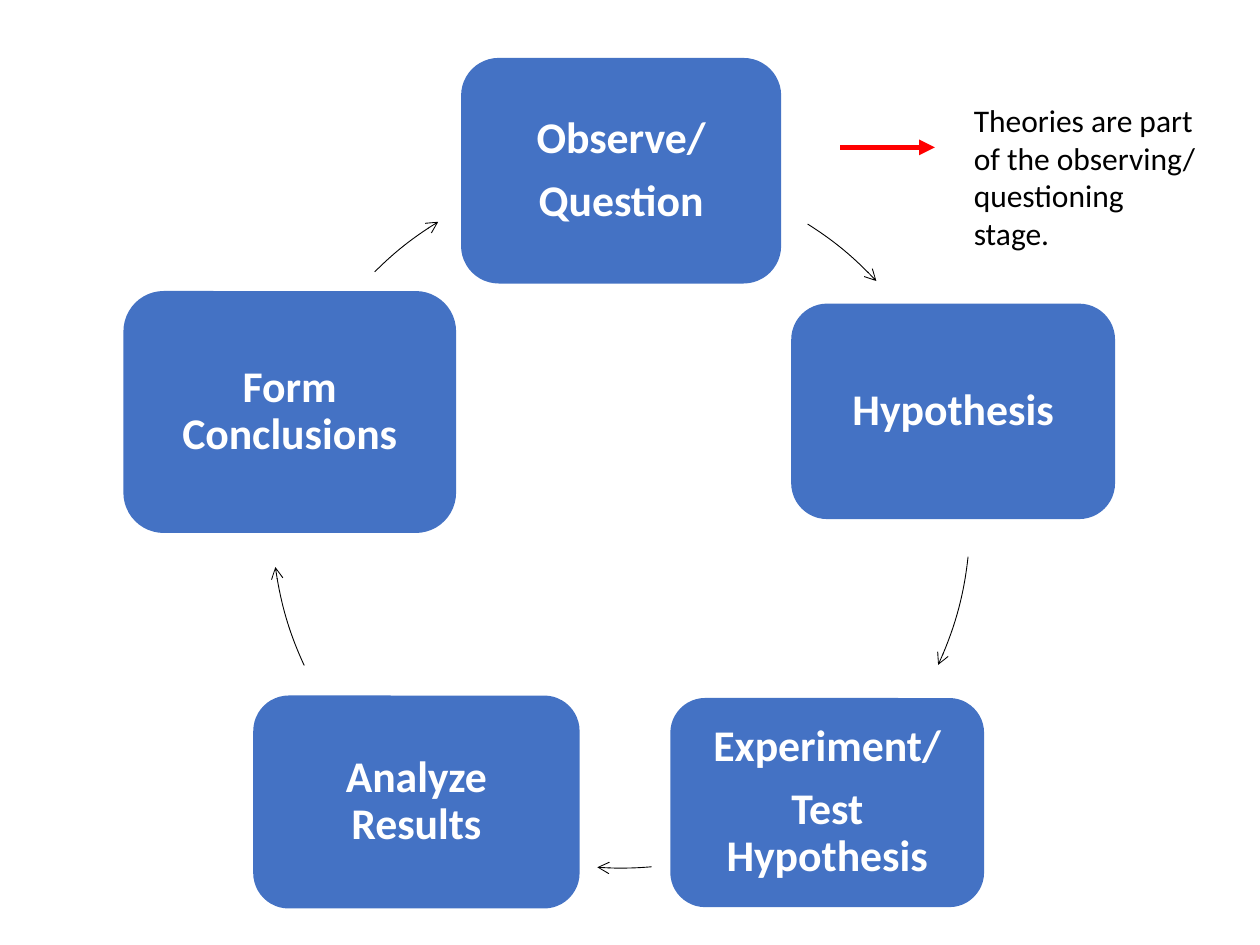
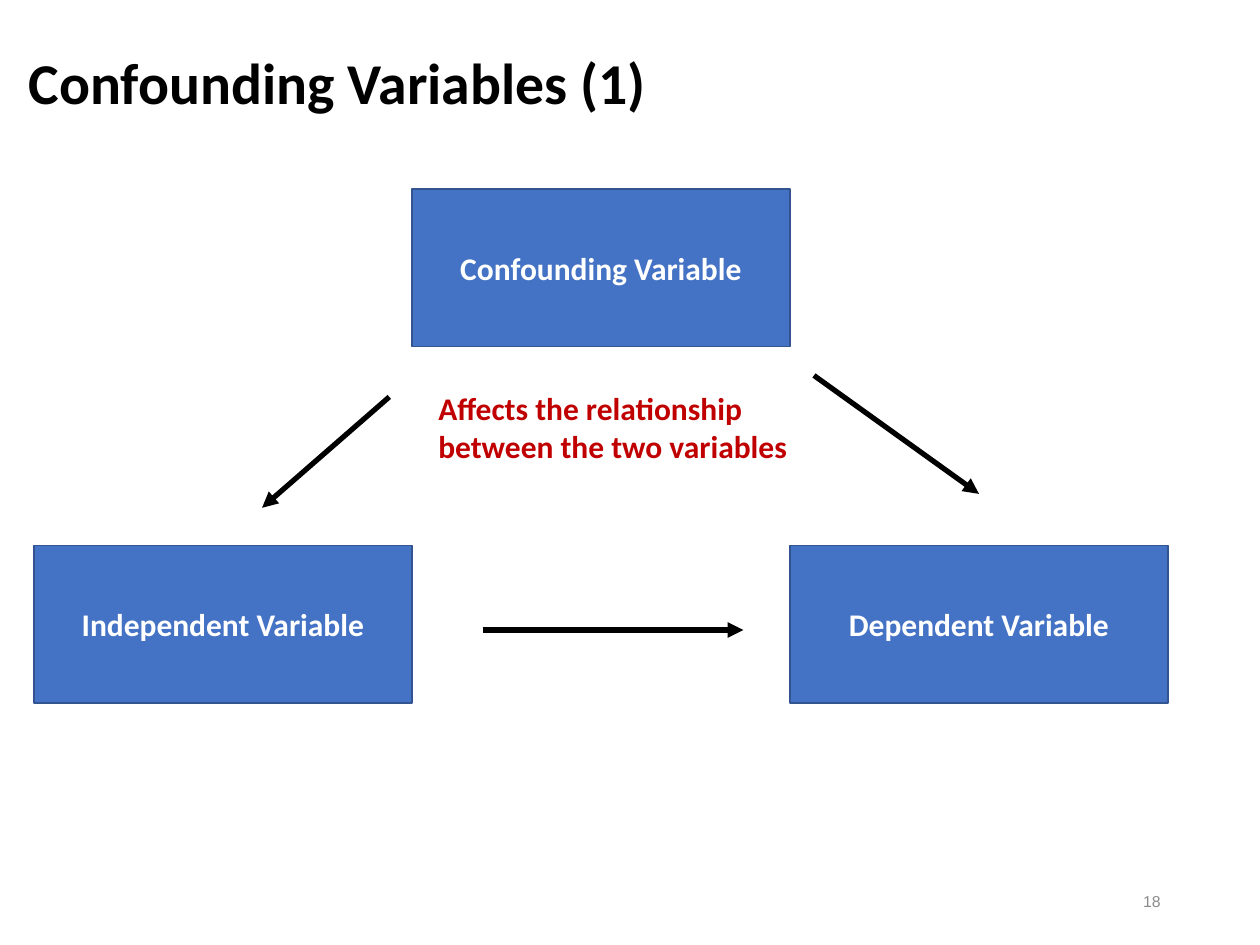
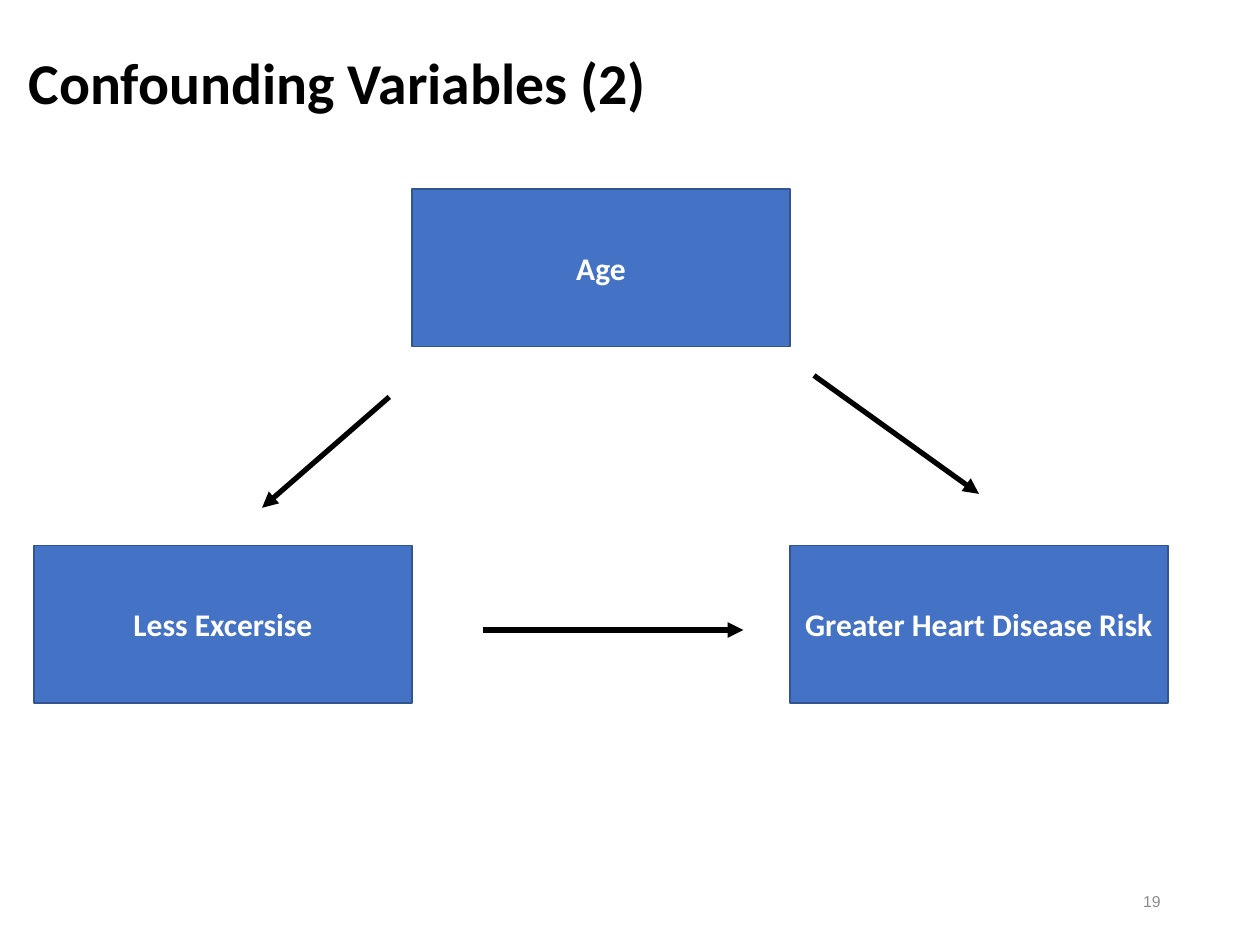
from dataclasses import dataclass

from lxml.etree import SubElement
from pptx import Presentation
from pptx.dml.color import RGBColor
from pptx.enum.shapes import MSO_CONNECTOR, MSO_SHAPE
from pptx.enum.text import MSO_ANCHOR, MSO_AUTO_SIZE, PP_ALIGN
from pptx.oxml.ns import qn
from pptx.util import Inches, Pt


@dataclass(frozen=True)
class Theme:
    blue: str = "4472C4"
    edge: str = "325491"
    black: str = "000000"
    white: str = "FFFFFF"
    gray: str = "8C8C8C"
    red: str = "FF0000"
    crimson: str = "C00000"
    font: str = "Calibri"
    number_font: str = "Arial"
    title_size: int = 33
    stage_size: int = 25
    body_size: int = 18
    number_size: int = 9
    tight: float = 0.9
    stage_gap: float = 8.75
    thick: float = 3
    thin: float = 0.5


class Slides:
    COLUMNS, ROWS = 100, 75

    def __init__(self, deck, theme):
        self.deck = deck
        self.theme = theme
        self.page = None

    def new_page(self):
        self.page = self.deck.slides.add_slide(self.deck.slide_layouts[6])

    def place(self, left, top, width, height):
        column = self.deck.slide_width / self.COLUMNS
        row = self.deck.slide_height / self.ROWS
        return [round(length) for length in (left * column, top * row, width * column, height * row)]

    def fill_text(self, shape, lines, size, color, bold=False, align=PP_ALIGN.LEFT,
                  anchor=MSO_ANCHOR.MIDDLE, font=None, spacing=None, after=None):
        frame = shape.text_frame
        frame.word_wrap = True
        frame.vertical_anchor = anchor
        frame.text = "\n".join(lines)
        for para in frame.paragraphs:
            para.alignment = align
            para.line_spacing = spacing
            if after:
                para.space_after = Pt(after)
            para.font.name = font or self.theme.font
            para.font.size = Pt(size)
            para.font.bold = bold
            para.font.color.rgb = RGBColor.from_string(color)

    def text(self, area, line, size, color, **style):
        box = self.page.shapes.add_textbox(*self.place(*area))
        self.fill_text(box, [line], size, color, **style)
        return box

    def title(self, line):
        self.text((1.3, 3.3, 86.2, 7), line, self.theme.title_size, self.theme.black,
                  bold=True, spacing=self.theme.tight)

    def number(self, value):
        self.text((70.6, 69.5, 22.5, 4), str(value), self.theme.number_size, self.theme.gray,
                  align=PP_ALIGN.RIGHT, font=self.theme.number_font)

    def note(self, area, line, color, bold=False):
        box = self.text(area, line, self.theme.body_size, color, bold=bold, anchor=MSO_ANCHOR.TOP)
        box.text_frame.auto_size = MSO_AUTO_SIZE.SHAPE_TO_FIT_TEXT

    def block(self, kind, area):
        shape = self.page.shapes.add_shape(kind, *self.place(*area))
        shape.shadow.inherit = False
        shape.fill.solid()
        shape.fill.fore_color.rgb = RGBColor.from_string(self.theme.blue)
        return shape

    def stage(self, area, lines):
        shape = self.block(MSO_SHAPE.ROUNDED_RECTANGLE, area)
        shape.line.fill.background()
        self.fill_text(shape, lines, self.theme.stage_size, self.theme.white, bold=True,
                       align=PP_ALIGN.CENTER, spacing=self.theme.tight, after=self.theme.stage_gap)

    def variable(self, area, line):
        shape = self.block(MSO_SHAPE.RECTANGLE, area)
        shape.line.color.rgb = RGBColor.from_string(self.theme.edge)
        shape.line.width = Pt(1)
        self.fill_text(shape, [line], self.theme.body_size, self.theme.white, bold=True,
                       align=PP_ALIGN.CENTER)

    def stroke(self, shape, color, width, head):
        shape.line.color.rgb = RGBColor.from_string(color)
        shape.line.width = Pt(width)
        outline = shape.element.spPr.find(qn("a:ln"))
        SubElement(outline, qn("a:tailEnd"), type=head)

    def arc(self, area, start, end):
        shape = self.page.shapes.add_shape(MSO_SHAPE.ARC, *self.place(*area))
        units_per_degree = 0.6
        shape.adjustments[0] = start * units_per_degree
        shape.adjustments[1] = end * units_per_degree
        shape.fill.background()
        self.stroke(shape, self.theme.black, self.theme.thin, "arrow")
        shape.shadow.inherit = False

    def arrow(self, start, end, color):
        line = self.page.shapes.add_connector(MSO_CONNECTOR.STRAIGHT, *self.place(*start, *end))
        self.stroke(line, color, self.theme.thick, "triangle")
        SubElement(line.element.spPr, qn("a:effectLst"))


CYCLE_AREA = (21.6, 13.5, 55.4, 55.4)
CYCLE = [
    ((36.6, 4.6, 25.4, 17.9), ["Observe/", "Question"], (302.3, 317)),
    ((62.8, 24.1, 25.7, 17.1), ["Hypothesis"], (6.2, 24.7)),
    ((53.2, 55.4, 24.9, 16.6), ["Experiment/", "Test Hypothesis"], (85, 93.9)),
    ((20.1, 55.2, 25.9, 16.9), ["Analyze Results"], (155.2, 172.1)),
    ((9.8, 23.1, 26.4, 19.2), ["Form Conclusions"], (225.1, 238.4)),
]
VARIABLE_LEFT, VARIABLE_WIDTH, VARIABLE_HEIGHT = 2.7, 30, 12.5
VARIABLE_TOPS = (43.3, 15, 43.3)
VARIABLE_ARROWS = [
    ((38.3, 50), (59, 50)),
    ((64.6, 29.8), (77.7, 39.2)),
    ((30.9, 31.5), (20.8, 40.3)),
]


def add_cycle(slides):
    slides.new_page()
    for area, lines, angles in CYCLE:
        slides.stage(area, lines)
        slides.arc(CYCLE_AREA, *angles)
    slides.arrow((66.7, 11.7), (74.2, 11.7), slides.theme.red)
    slides.note((76.3, 7.5, 19.9, 13.1),
                "Theories are part of the observing/ questioning stage.", slides.theme.black)


def add_confounding(slides, title, number, names):
    slides.new_page()
    slides.title(title)
    slides.number(number)
    for index, (name, top) in enumerate(zip(names, VARIABLE_TOPS)):
        left = VARIABLE_LEFT + index * VARIABLE_WIDTH
        slides.variable((left, top, VARIABLE_WIDTH, VARIABLE_HEIGHT), name)
    for start, end in VARIABLE_ARROWS:
        slides.arrow(start, end, slides.theme.black)


def main():
    deck = Presentation()
    deck.slide_width, deck.slide_height = Inches(10), Inches(7.5)
    slides = Slides(deck, Theme())
    add_cycle(slides)
    add_confounding(slides, "Confounding Variables (1)", 18,
                    ["Independent Variable", "Confounding Variable", "Dependent Variable"])
    slides.note((33.8, 30.4, 29.8, 7.1), "Affects the relationship between the two variables",
                slides.theme.crimson, bold=True)
    add_confounding(slides, "Confounding Variables (2)", 19,
                    ["Less Excersise", "Age", "Greater Heart Disease Risk"])
    deck.save("out.pptx")


if __name__ == "__main__":
    main()
